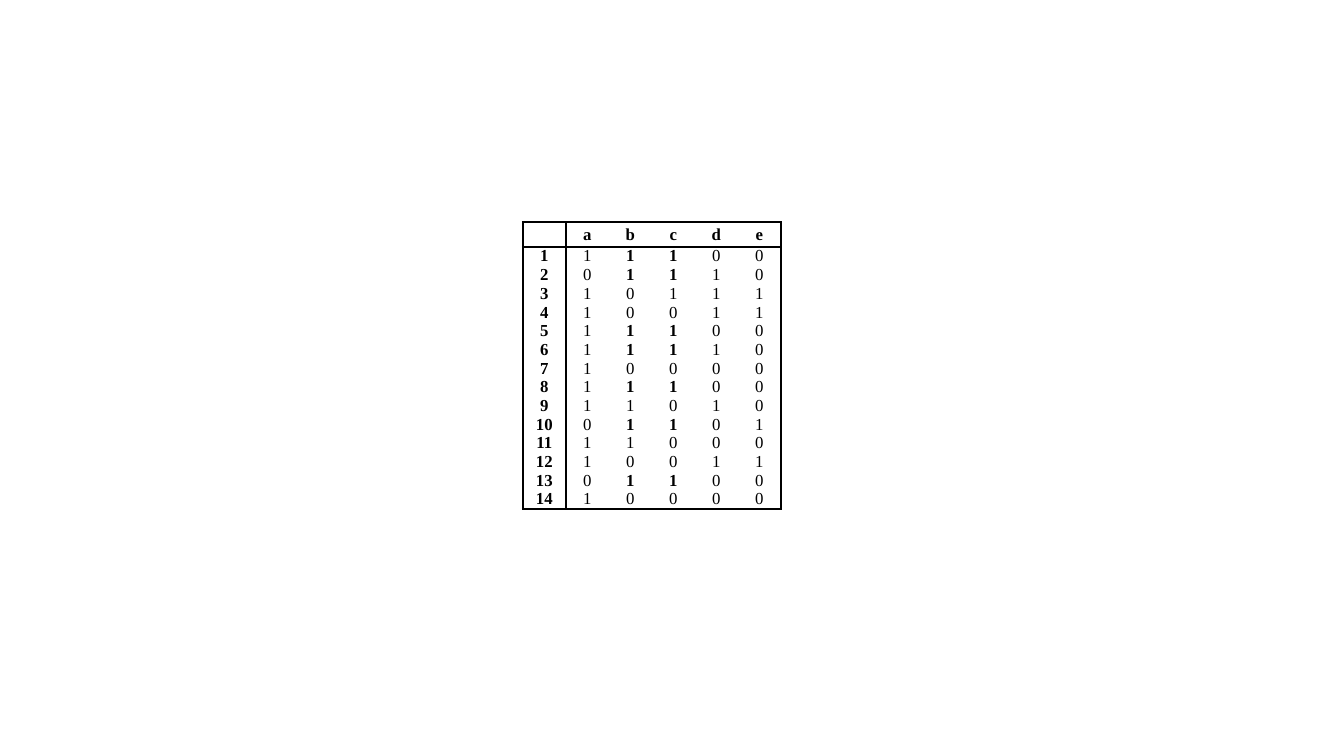
from lxml import etree
from pptx import Presentation
from pptx.dml.color import RGBColor
from pptx.enum import text
from pptx.oxml import ns
from pptx.util import Pt

COLORS = {"ink": "000000"}
FONT = "Times New Roman"
NO_STYLE = "{2D5ABB26-0587-4C30-8999-92F81FD0307C}"
ITEMS = "abcde"
BASKETS = [
    "11100", "01110", "10111", "10011", "11100", "11110", "10000",
    "11100", "11010", "01101", "11000", "10011", "01100", "10000",
]


def set_borders(cell, sides):
    tcPr = cell._tc.get_or_add_tcPr()
    for side in "LRTB":
        ln = etree.SubElement(tcPr, ns.qn(f"a:ln{side}"), w=str(Pt(1.5)))
        if side in sides:
            fill = etree.SubElement(ln, ns.qn("a:solidFill"))
            etree.SubElement(fill, ns.qn("a:srgbClr"), val=COLORS["ink"])
        else:
            etree.SubElement(ln, ns.qn("a:noFill"))


def fill_cell(cell, label, bold, sides):
    set_borders(cell, sides)
    cell.fill.background()
    cell.margin_left = cell.margin_right = Pt(5)
    cell.margin_top = cell.margin_bottom = 0
    cell.vertical_anchor = text.MSO_ANCHOR.MIDDLE
    cell.text = label
    p = cell.text_frame.paragraphs[0]
    p.alignment = text.PP_ALIGN.CENTER
    p.font.name = FONT
    p.font.size = Pt(12)
    p.font.bold = bold
    p.font.color.rgb = RGBColor.from_string(COLORS["ink"])
    if not label:
        end = etree.SubElement(p._p, ns.qn("a:endParaRPr"), sz="1200")
        etree.SubElement(end, ns.qn("a:latin"), typeface=FONT)


def add_basket_table(s, left, top, width, height, header_height):
    rows = [["", *ITEMS]]
    rows += [[str(n), *bits] for n, bits in enumerate(BASKETS, 1)]
    last_row, last_col = len(rows) - 1, len(ITEMS)
    sp = s.shapes.add_table(len(rows), last_col + 1, Pt(left), Pt(top), Pt(width), Pt(height))
    tbl = sp.table
    tbl.first_row = tbl.horz_banding = False
    sp._element.find(".//" + ns.qn("a:tableStyleId")).text = NO_STYLE
    for col in tbl.columns:
        col.width = Pt(width / (last_col + 1))
    for i, values in enumerate(rows):
        tbl.rows[i].height = Pt(header_height if i == 0 else (height - header_height) / last_row)
        has_pair = values[2:4] == ["1", "1"]
        for j, label in enumerate(values):
            sides = "L" if j <= 1 else ""
            sides += "R" if j in (0, last_col) else ""
            sides += "T" if i <= 1 else ""
            sides += "B" if i in (0, last_row) else ""
            bold = i == 0 or j == 0 or (has_pair and j in (2, 3))
            fill_cell(tbl.cell(i, j), label, bold, sides)


def main():
    prs = Presentation()
    prs.slide_width, prs.slide_height = Pt(960), Pt(540)
    s = prs.slides.add_slide(prs.slide_layouts[6])
    add_basket_table(s, 373.5, 158.5, 184.2, 204.4, 17.9)
    prs.save("out.pptx")


if __name__ == "__main__":
    main()
